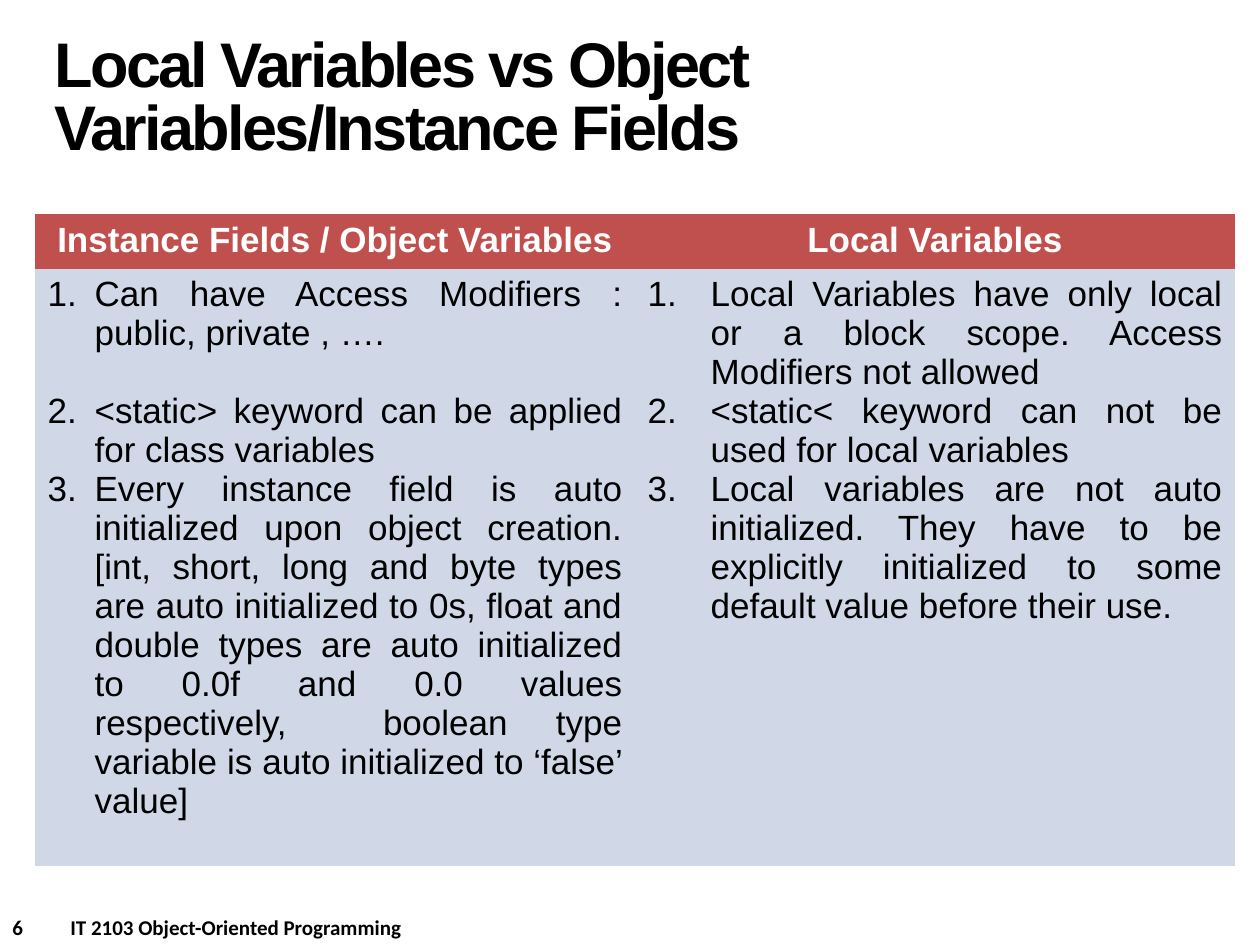
from dataclasses import dataclass

from pptx import Presentation
from pptx.dml.color import RGBColor as Color
from pptx.enum.text import MSO_ANCHOR as Anchor, PP_ALIGN as Align
from pptx.oxml.ns import qn
from pptx.util import Emu, Pt

PX_PER_INCH = 126


def px(length: int) -> Emu:
    return Emu(round(length * 914400 / PX_PER_INCH))


@dataclass(frozen=True)
class Theme:
    font: str = "Arial"
    footer_font: str = "Calibri"
    title_size: int = 36
    table_size: int = 20
    footer_size: int = 12
    ink: Color = Color(0x00, 0x00, 0x00)
    header_ink: Color = Color(0xFF, 0xFF, 0xFF)
    header_fill: Color = Color(0xC0, 0x50, 0x4D)
    body_fill: Color = Color(0xD0, 0xD8, 0xE8)


@dataclass(frozen=True)
class Item:
    text: str
    gap_after: int = 0


@dataclass(frozen=True)
class Column:
    heading: str
    indent: int
    items: tuple[Item, ...]


THEME = Theme()
NO_STYLE_TABLE = "{2D5ABB26-0587-4C30-8999-92F81FD0307C}"
TABLE_LEFT, TABLE_TOP, COLUMN_WIDTH = 35, 214, 600
ROW_HEIGHTS = (52, 559)
COLUMNS = (
    Column("Instance Fields / Object Variables", 47, (
        Item("Can have Access Modifiers : public, private , ….", gap_after=22),
        Item("<static> keyword can be applied for class variables"),
        Item("Every instance field is auto initialized upon object creation. "
             "[int, short, long and byte types are auto initialized to 0s, "
             "float and double types are auto initialized to 0.0f and 0.0 "
             "values respectively,  boolean type variable is auto initialized "
             "to ‘false’ value]"),
    )),
    Column("Local Variables", 63, (
        Item("Local Variables have only local or a block scope. "
             "Access Modifiers not allowed"),
        Item("<static< keyword can not be used for local variables"),
        Item("Local variables are not auto initialized. They have to be "
             "explicitly initialized to some default value before their use."),
    )),
)


def add_span(para, text: str, size: int, color: Color, bold: bool,
             font: str = THEME.font):
    span = para.add_run()
    span.text = text
    span.font.name = font
    span.font.size = Pt(size)
    span.font.bold = bold
    span.font.color.rgb = color
    return span


def add_box(page, left: int, top: int, width: int, height: int):
    box = page.shapes.add_textbox(px(left), px(top), px(width), px(height))
    box.text_frame.word_wrap = True
    return box


def add_title(page, text: str) -> None:
    frame = add_box(page, 42, 21, 872, 158).text_frame
    frame.vertical_anchor = Anchor.MIDDLE
    para = frame.paragraphs[0]
    para.line_spacing = Pt(36)
    span = add_span(para, text, THEME.title_size, THEME.ink, True)
    span.font._element.set("spc", "-150")


def add_footer(page, number: str, course: str) -> None:
    """Place the page number and, at a tab stop, the course name."""
    para = add_box(page, 0, 908, 630, 38).text_frame.paragraphs[0]
    tabs = para._p.get_or_add_pPr().makeelement(qn("a:tabLst"), {})
    tabs.append(tabs.makeelement(qn("a:tab"), {"pos": str(px(58)), "algn": "l"}))
    para._p.get_or_add_pPr().append(tabs)
    add_span(para, f"{number}\t{course}", THEME.footer_size, THEME.ink, True,
             THEME.footer_font)


def number_para(para, indent: int) -> None:
    props = para._p.get_or_add_pPr()
    props.set("marL", str(px(indent)))
    props.set("indent", str(-px(indent)))
    for tag, attrs in (("a:buFont", {"typeface": "+mj-lt"}),
                       ("a:buAutoNum", {"type": "arabicPeriod"})):
        props.append(props.makeelement(qn(tag), attrs))


def fill_cell(cell, color: Color) -> None:
    cell.fill.solid()
    cell.fill.fore_color.rgb = color


def fill_column(header, body, column: Column) -> None:
    fill_cell(header, THEME.header_fill)
    para = header.text_frame.paragraphs[0]
    para.alignment = Align.CENTER
    add_span(para, column.heading, THEME.table_size, THEME.header_ink, True)

    fill_cell(body, THEME.body_fill)
    frame = body.text_frame
    for index, item in enumerate(column.items):
        para = frame.add_paragraph() if index else frame.paragraphs[0]
        para.alignment = Align.JUSTIFY
        if item.gap_after:
            para.space_after = Pt(item.gap_after)
        number_para(para, column.indent)
        add_span(para, item.text, THEME.table_size, THEME.ink, False)


def add_comparison(page, columns: tuple[Column, ...]) -> None:
    table = page.shapes.add_table(
        len(ROW_HEIGHTS), len(columns), px(TABLE_LEFT), px(TABLE_TOP),
        px(COLUMN_WIDTH * len(columns)), px(sum(ROW_HEIGHTS))).table
    table.horz_banding = False
    table._tbl.tblPr.find(qn("a:tableStyleId")).text = NO_STYLE_TABLE
    for row, height in zip(table.rows, ROW_HEIGHTS):
        row.height = px(height)
    for index, column in enumerate(columns):
        table.columns[index].width = px(COLUMN_WIDTH)
        fill_column(table.cell(0, index), table.cell(1, index), column)


def main() -> None:
    deck = Presentation()
    deck.slide_width, deck.slide_height = px(1260), px(945)
    page = deck.slides.add_slide(deck.slide_layouts[6])
    add_footer(page, "6", "IT 2103 Object-Oriented Programming")
    add_title(page, "Local Variables vs Object Variables/Instance Fields")
    add_comparison(page, COLUMNS)
    deck.save("out.pptx")


if __name__ == "__main__":
    main()
